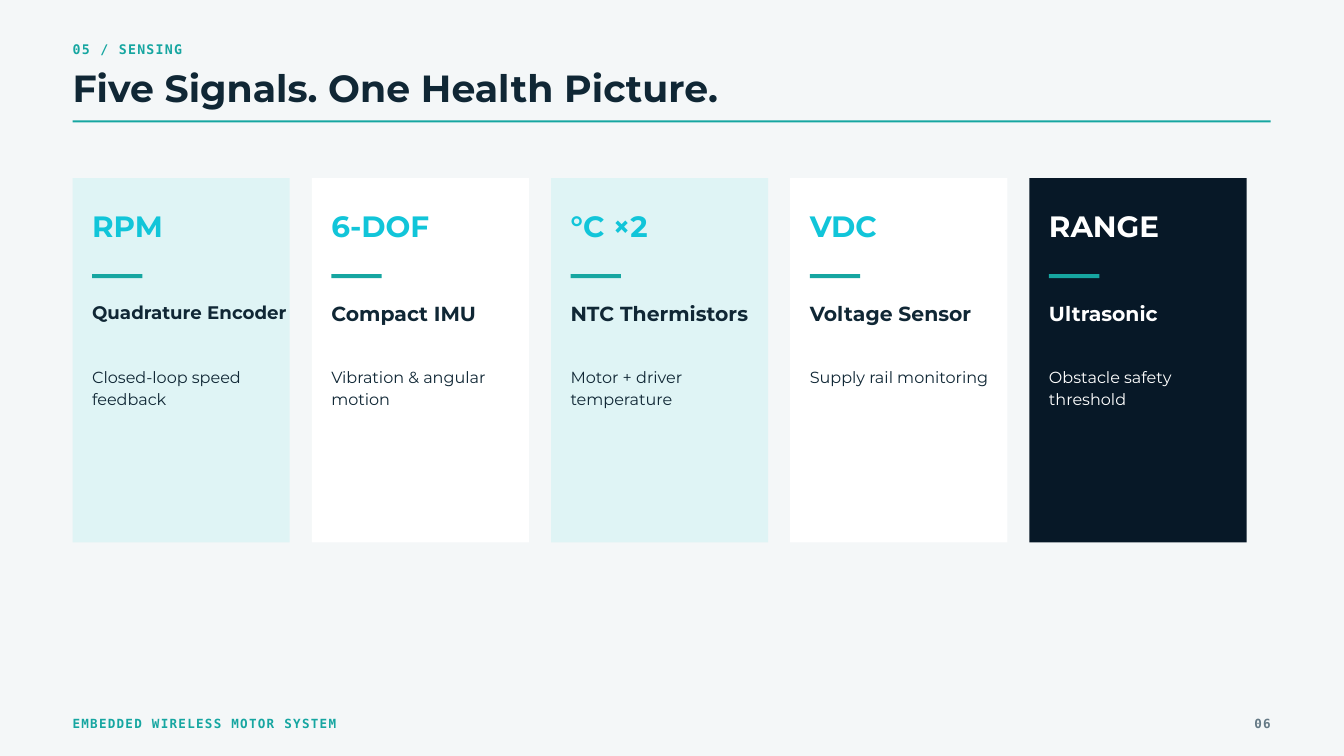
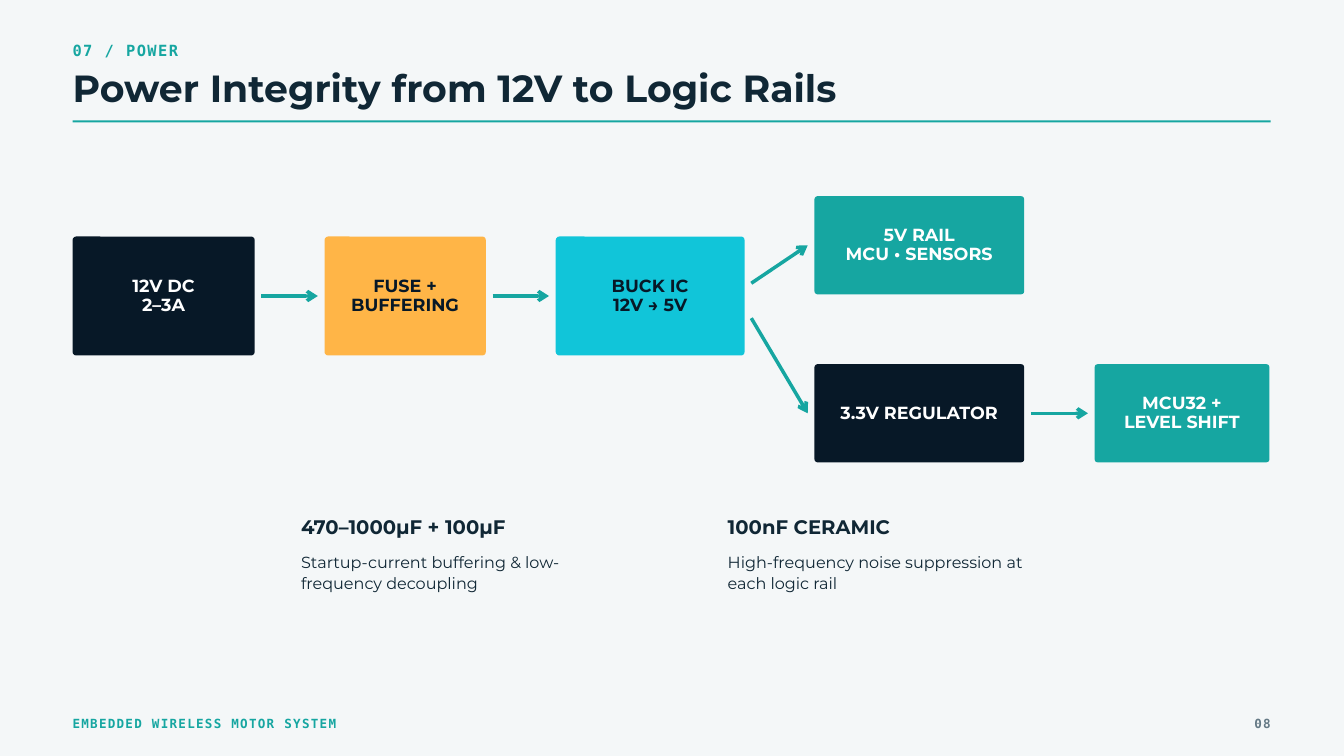
"""Build two slides on the sensing and power design of a wireless motor system."""

from dataclasses import dataclass

import lxml.etree
import pptx
import pptx.dml.color
import pptx.enum.shapes
import pptx.enum.text
import pptx.oxml.ns
import pptx.slide
import pptx.text.text
import pptx.util
from pptx.util import Inches

TEAL = "16A6A1"
CYAN = "11C5D9"
INK = "102735"
NAVY = "071827"
AMBER = "FFB547"
WHITE = "FFFFFF"
MIST = "DFF4F5"
GREY = "647985"
PAPER = "F4F7F8"

LEFT, CONTENT_WIDTH = 1.08, 17.83
SHAPES = pptx.enum.shapes.MSO_SHAPE
ALIGN = pptx.enum.text.PP_ALIGN


@dataclass(frozen=True)
class TextStyle:
    size: float
    leading: float
    font: str = "Montserrat"
    bold: bool = True
    tracking: float = 0


MONO = "DejaVu Sans Mono"
TITLE = TextStyle(40.5, 42.1)
FOOTER = TextStyle(13.5, 18.9, MONO, tracking=1.4)
SENSING_LABEL = TextStyle(14.2, 19.9, MONO, tracking=1.4)
POWER_LABEL = TextStyle(16.5, 23.1, MONO, tracking=1.6)
SIGNAL = TextStyle(31.5, 32.8)
SENSOR = TextStyle(21.8, 22.6)
LONG_SENSOR = TextStyle(19.5, 20.3)
BODY = TextStyle(17.2, 23.3, bold=False)
STAGE_TEXT = TextStyle(18.8, 20.6)
NOTE_HEADING = TextStyle(21, 21.8)


@dataclass(frozen=True)
class SensorCard:
    signal: str
    sensor: str
    purpose: str
    fill: str
    signal_color: str = CYAN
    text_color: str = INK
    sensor_style: TextStyle = SENSOR
    sensor_top: float = 4.53


@dataclass(frozen=True)
class Stage:
    text: str
    left: float
    top: float
    width: float
    height: float
    fill: str
    text_color: str = WHITE

    @property
    def middle(self) -> float:
        return self.top + self.height / 2


@dataclass(frozen=True)
class Flow:
    source: Stage
    target: Stage
    start_shift: float = 0


@dataclass(frozen=True)
class Note:
    heading: str
    detail: str
    left: float


CARDS = (
    SensorCard("RPM", "Quadrature Encoder", "Closed-loop speed feedback", MIST,
               sensor_style=LONG_SENSOR, sensor_top=4.52),
    SensorCard("6-DOF", "Compact IMU", "Vibration & angular motion", WHITE),
    SensorCard("°C ×2", "NTC Thermistors", "Motor + driver temperature", MIST),
    SensorCard("VDC", "Voltage Sensor", "Supply rail monitoring", WHITE),
    SensorCard("RANGE", "Ultrasonic", "Obstacle safety threshold", NAVY, WHITE, WHITE),
)

SUPPLY = Stage("12V DC\n2–3A", 1.08, 3.52, 2.71, 1.77, NAVY)
FUSE = Stage("FUSE +\nBUFFERING", 4.83, 3.52, 2.4, 1.77, AMBER, NAVY)
BUCK = Stage("BUCK IC\n12V → 5V", 8.27, 3.52, 2.81, 1.77, CYAN, NAVY)
RAIL = Stage("5V RAIL\nMCU • SENSORS", 12.12, 2.92, 3.12, 1.46, TEAL)
REGULATOR = Stage("3.3V REGULATOR", 12.12, 5.42, 3.12, 1.46, NAVY)
LOGIC = Stage("MCU32 +\nLEVEL SHIFT", 16.29, 5.42, 2.6, 1.46, TEAL)
STAGES = (SUPPLY, FUSE, BUCK, RAIL, REGULATOR, LOGIC)

FLOWS = (
    Flow(SUPPLY, FUSE),
    Flow(FUSE, BUCK),
    Flow(BUCK, RAIL, -0.19),
    Flow(BUCK, REGULATOR, 0.33),
    Flow(REGULATOR, LOGIC),
)

NOTES = (
    Note("470–1000µF + 100µF", "Startup-current buffering & low-frequency decoupling", 4.48),
    Note("100nF CERAMIC", "High-frequency noise suppression at each logic rail", 10.83),
)


def rgb(value: str) -> pptx.dml.color.RGBColor:
    """Turn a hex string into a colour."""
    return pptx.dml.color.RGBColor.from_string(value)


def apply(target: object, values: dict) -> None:
    """Set each named attribute on the target."""
    for name, value in values.items():
        setattr(target, name, value)


def fill_text(frame: pptx.text.text.TextFrame, text: str, style: TextStyle, color: str,
              align: ALIGN = ALIGN.LEFT, inset: float = 0) -> None:
    """Write one paragraph per line of text in the given style."""
    margins = {f"margin_{side}": Inches(inset) for side in ("left", "top", "right", "bottom")}
    apply(frame, {"word_wrap": True, **margins})
    for index, line in enumerate(text.split("\n")):
        para = frame.add_paragraph() if index else frame.paragraphs[0]
        apply(para, {"alignment": align, "line_spacing": pptx.util.Pt(style.leading)})
        span = para.add_run()
        span.text = line
        apply(span.font, {"name": style.font, "size": pptx.util.Pt(style.size), "bold": style.bold})
        span.font.color.rgb = rgb(color)
        if style.tracking:
            span._r.get_or_add_rPr().set("spc", str(round(style.tracking * 100)))


def add_text(page: pptx.slide.Slide, text: str, left: float, top: float, width: float,
             height: float, style: TextStyle, color: str, align: ALIGN = ALIGN.LEFT) -> None:
    """Add a text box without insets."""
    box = page.shapes.add_textbox(Inches(left), Inches(top), Inches(width), Inches(height))
    fill_text(box.text_frame, text, style, color, align)


def add_block(page: pptx.slide.Slide, left: float, top: float, width: float, height: float,
              color: str, kind: SHAPES = SHAPES.RECTANGLE) -> pptx.shapes.autoshape.Shape:
    """Add a flat filled shape."""
    block = page.shapes.add_shape(kind, Inches(left), Inches(top), Inches(width), Inches(height))
    block.shadow.inherit = False
    block.fill.solid()
    block.fill.fore_color.rgb = rgb(color)
    block.line.fill.background()
    return block


def add_page(deck: pptx.presentation.Presentation, label: str, label_top: float,
             label_style: TextStyle, title: str, number: str) -> pptx.slide.Slide:
    """Add a slide with the shared background, heading and footer."""
    page = deck.slides.add_slide(deck.slide_layouts[6])
    page.background.fill.solid()
    page.background.fill.fore_color.rgb = rgb(PAPER)
    add_text(page, label, LEFT, label_top, 1.67, 0.3, label_style, TEAL)
    add_text(page, title, LEFT, 1.05, 15.62, 0.6, TITLE, INK)
    add_block(page, LEFT, 1.79, CONTENT_WIDTH, 0.03, TEAL)
    add_text(page, "EMBEDDED WIRELESS MOTOR SYSTEM", LEFT, 10.61, 5.83, 0.25, FOOTER, TEAL)
    add_text(page, number, 18.12, 10.61, 0.79, 0.25, FOOTER, GREY, ALIGN.RIGHT)
    return page


def add_card(page: pptx.slide.Slide, card: SensorCard, left: float) -> None:
    """Draw one sensor card."""
    text_left, text_width = left + 0.29, 2.98
    add_block(page, left, 2.65, 3.23, 5.42, card.fill)
    add_block(page, text_left, 4.08, 0.75, 0.06, TEAL)
    add_text(page, card.signal, text_left, 3.16, text_width, 0.48, SIGNAL, card.signal_color)
    add_text(page, card.sensor, text_left, card.sensor_top, text_width, 0.33,
             card.sensor_style, card.text_color)
    add_text(page, card.purpose, text_left, 5.43, text_width, 0.63, BODY, card.text_color)


def add_stage(page: pptx.slide.Slide, stage: Stage) -> None:
    """Draw one rounded box of the power chain."""
    box = add_block(page, stage.left, stage.top, stage.width, stage.height, stage.fill,
                    SHAPES.ROUNDED_RECTANGLE)
    box.adjustments[0] = 0.03
    box.text_frame.vertical_anchor = pptx.enum.text.MSO_ANCHOR.MIDDLE
    fill_text(box.text_frame, stage.text, STAGE_TEXT, stage.text_color, ALIGN.CENTER, 0.06)


def add_flow(page: pptx.slide.Slide, flow: Flow) -> None:
    """Draw an arrow in the gap between two stages."""
    gap = 0.1
    source, target = flow.source, flow.target
    arrow = page.shapes.add_connector(
        pptx.enum.shapes.MSO_CONNECTOR.STRAIGHT,
        Inches(source.left + source.width + gap), Inches(source.middle + flow.start_shift),
        Inches(target.left - gap), Inches(target.middle))
    arrow.line.color.rgb = rgb(TEAL)
    arrow.line.width = pptx.util.Pt(3.75)
    properties = arrow.element.spPr
    qn = pptx.oxml.ns.qn
    lxml.etree.SubElement(properties.get_or_add_ln(), qn("a:tailEnd"), type="arrow")
    lxml.etree.SubElement(properties, qn("a:effectLst"))


def build_sensing(deck: pptx.presentation.Presentation) -> None:
    """Build the slide of five sensor cards."""
    page = add_page(deck, "05 / SENSING", 0.57, SENSING_LABEL,
                    "Five Signals. One Health Picture.", "06")
    for index, card in enumerate(CARDS):
        add_card(page, card, LEFT + index * 3.56)


def build_power(deck: pptx.presentation.Presentation) -> None:
    """Build the slide of the power chain."""
    page = add_page(deck, "07 / POWER", 0.56, POWER_LABEL,
                    "Power Integrity from 12V to Logic Rails", "08")
    for flow in FLOWS:
        add_flow(page, flow)
    for stage in STAGES:
        add_stage(page, stage)
    for note in NOTES:
        add_text(page, note.heading, note.left, 7.71, 4.9, 0.31, NOTE_HEADING, INK)
        add_text(page, note.detail, note.left, 8.18, 4.9, 0.64, BODY, INK)


def main() -> None:
    """Build and save the deck."""
    deck = pptx.Presentation()
    apply(deck, {"slide_width": Inches(20), "slide_height": Inches(11.25)})
    build_sensing(deck)
    build_power(deck)
    deck.save("out.pptx")


if __name__ == "__main__":
    main()
